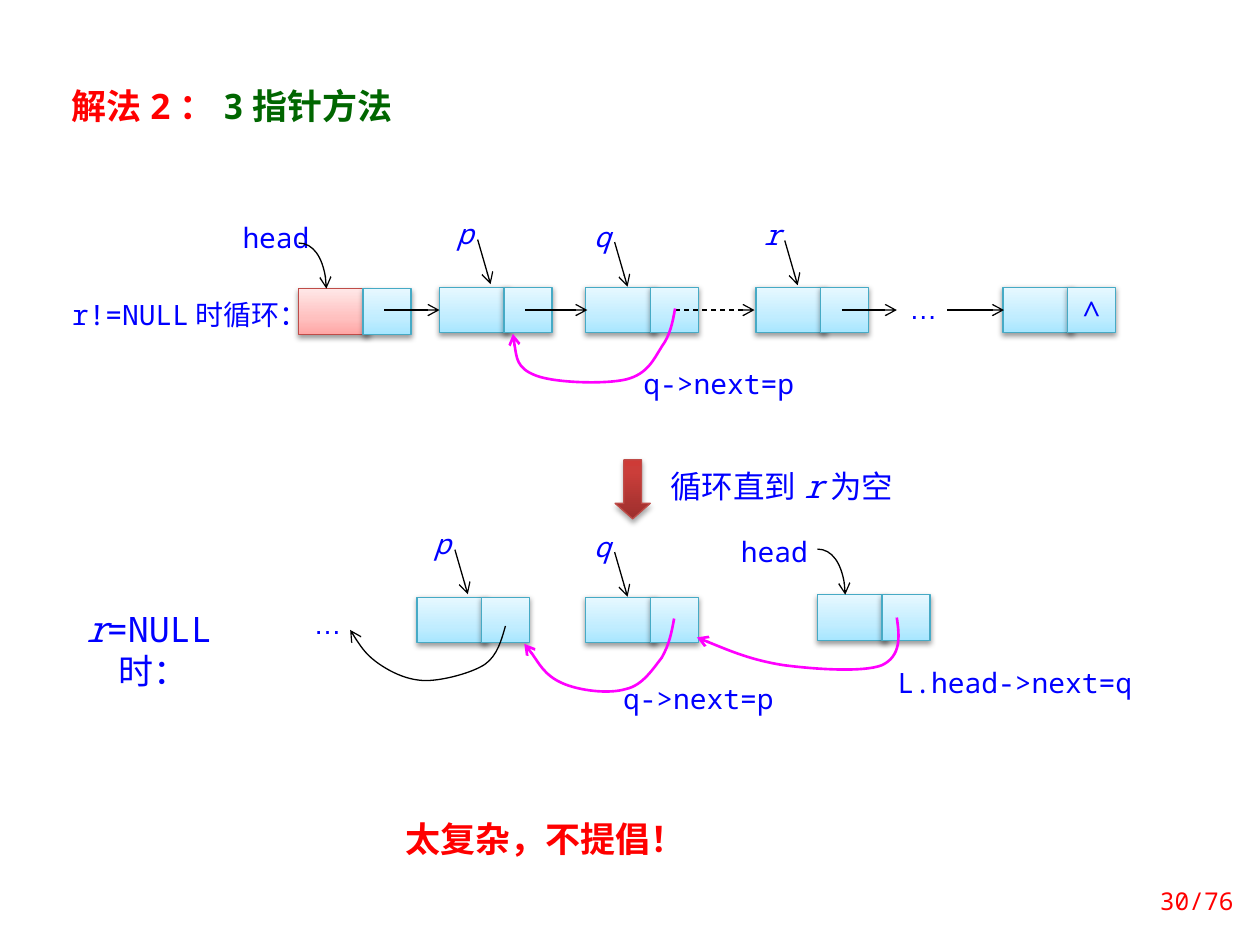
from dataclasses import dataclass
from typing import Optional

from lxml.etree import SubElement
from pptx import Presentation
from pptx.dml.color import RGBColor
from pptx.enum.dml import MSO_LINE
from pptx.enum.shapes import MSO_CONNECTOR, MSO_SHAPE
from pptx.enum.text import MSO_ANCHOR, MSO_AUTO_SIZE, PP_ALIGN
from pptx.oxml import parse_xml
from pptx.oxml.ns import nsdecls, qn
from pptx.util import Cm, Pt

BLUE = RGBColor(0x00, 0x00, 0xFF)
RED = RGBColor(0xFF, 0x00, 0x00)
GREEN = RGBColor(0x00, 0x66, 0x00)
BLACK = RGBColor(0x00, 0x00, 0x00)
WHITE = RGBColor(0xFF, 0xFF, 0xFF)
MAGENTA = RGBColor(0xFF, 0x00, 0xFF)
TEAL = RGBColor(0x46, 0xAA, 0xC5)
BRICK = RGBColor(0xBF, 0x4C, 0x48)
BLUE_STOPS = [(0, RGBColor(0xA7, 0xE6, 0xFF)), (35, RGBColor(0xC1, 0xED, 0xFF)), (100, RGBColor(0xE7, 0xF8, 0xFF))]
PINK_STOPS = [(0, RGBColor(0xFF, 0xA6, 0xA5)), (35, RGBColor(0xFF, 0xC0, 0xBF)), (100, RGBColor(0xFF, 0xE7, 0xE7))]
RED_STOPS = [(0, RGBColor(0x9C, 0x2F, 0x2D)), (80, RGBColor(0xCB, 0x3E, 0x3A)), (100, RGBColor(0xCE, 0x3B, 0x37))]
MONO, SANS, ARIAL = "Noto Sans Mono", "Noto Sans CJK SC", "Arial"
NO_MARGINS = (0, 0, 0, 0)
BOX_MARGINS = (0.25, 0.13, 0.25, 0.13)


@dataclass
class Run:
    text: str
    size: float = 16
    color: RGBColor = BLUE
    font: str = MONO
    bold: bool = False
    italic: bool = False


@dataclass
class Label:
    left: float
    top: float
    width: float
    runs: list[Run]
    has_pointer: bool = False


@dataclass
class Node:
    left: float
    top: float
    is_head: bool = False
    text: str = ""


@dataclass
class Curve:
    points: list[tuple[float, float]]
    color: RGBColor = BLACK
    width: float = 0.75


def pointer_label(name: str, left: float, top: float) -> Label:
    return Label(left, top, 0.91, [Run(name, italic=True)], True)


LABELS = [
    Label(12.93, 7.39, 3.12, [Run("q->next=p")]),
    Label(17.5, 13.41, 5.92, [Run("L.head->next=q")]),
    Label(12.52, 13.74, 3.12, [Run("q->next=p")]),
    Label(4.78, 4.45, 1.57, [Run("head")]),
    Label(14.76, 10.77, 1.7, [Run("head")]),
    Label(18.03, 5.87, 1.17, [Run("…", font=ARIAL)]),
    Label(6.02, 12.22, 1.17, [Run("…", font=ARIAL)]),
    Label(1.4, 5.99, 4.29, [Run("r!=NULL时循环：")]),
    Label(1.4, 12.24, 3.38, [Run("r", 20, italic=True), Run("=NULL时：", 20)]),
    Label(13.26, 9.42, 5, [Run("循环直到", 18), Run("r", 18, italic=True), Run("为空", 18)]),
    pointer_label("p", 8.92, 4.37),
    pointer_label("q", 11.68, 4.42),
    pointer_label("r", 15.11, 4.39),
    pointer_label("p", 8.46, 10.62),
    pointer_label("q", 11.68, 10.67),
]
NODES = [Node(6.02, 5.82, True), Node(8.86, 5.79), Node(11.81, 5.79), Node(15.24, 5.79),
         Node(20.22, 5.79, text="∧"), Node(8.41, 12.04), Node(11.81, 12.04), Node(16.48, 11.99)]
LINKS = [(7.75, 8.86, False), (10.59, 11.84, False), (13.61, 15.21, True),
         (16.97, 18.08, False), (19.1, 20.24, False)]
HEAD_STARTS = [(6.02, 4.9), (16.48, 11.07)]
HEAD_ARC = [(0, 0), (0.3, 0), (0.56, 0.41), (0.56, 0.92)]
CURVES = [
    Curve([(13.61, 6.22), (13.56, 6.5), (13.51, 6.76), (13.34, 6.99), (13.18, 7.24), (13.06, 7.54), (12.62, 7.65),
           (12.19, 7.75), (11.18, 7.72), (10.8, 7.57), (10.41, 7.42), (10.39, 7.06), (10.34, 6.73)], MAGENTA, 1.5),
    Curve([(13.59, 12.47), (13.54, 12.75), (13.49, 13), (13.34, 13.26), (13.16, 13.49), (12.95, 13.82), (12.62, 13.89),
           (12.27, 14), (11.66, 13.92), (11.33, 13.77), (10.97, 13.61), (10.72, 13.13), (10.57, 12.98)], MAGENTA, 1.5),
    Curve([(18.08, 12.45), (18.14, 12.85), (18.16, 13.23), (17.78, 13.41), (17.4, 13.56), (16.41, 13.49),
           (15.8, 13.41), (15.16, 13.31), (14.61, 13.08), (14.05, 12.85)], MAGENTA, 1.5),
    Curve([(10.19, 12.62), (10.11, 12.9), (10.03, 13.21), (9.78, 13.39), (9.53, 13.56), (8.94, 13.72), (8.59, 13.72),
           (8.23, 13.72), (7.9, 13.56), (7.65, 13.39), (7.39, 13.21), (7.21, 12.95), (7.06, 12.7)]),
] + [Curve([(left + x, top + y) for x, y in HEAD_ARC]) for left, top in HEAD_STARTS]


def write_text(shape, runs: list[Run], alignment=PP_ALIGN.CENTER, anchor=MSO_ANCHOR.TOP,
               margins: tuple = NO_MARGINS, line_spacing: Optional[Pt] = None) -> None:
    frame = shape.text_frame
    frame_format = {"word_wrap": True, "auto_size": MSO_AUTO_SIZE.NONE, "vertical_anchor": anchor}
    sides = ("margin_left", "margin_top", "margin_right", "margin_bottom")
    frame_format.update({side: Cm(margin) for side, margin in zip(sides, margins)})
    for name, value in frame_format.items():
        setattr(frame, name, value)
    paragraph = frame.paragraphs[0]
    paragraph.alignment = alignment
    paragraph.line_spacing = line_spacing
    for item in runs:
        run = paragraph.add_run()
        run.text = item.text
        font_format = {"name": item.font, "size": Pt(item.size), "bold": item.bold, "italic": item.italic}
        for name, value in font_format.items():
            setattr(run.font, name, value)
        run.font.color.rgb = item.color
        run.font._element.find(qn("a:latin")).addnext(
            parse_xml(f'<a:ea {nsdecls("a")} typeface="{SANS}"/>'))


def add_text(slide, left: float, top: float, width: float, height: float, runs: list[Run], **options):
    shape = slide.shapes.add_textbox(Cm(left), Cm(top), Cm(width), Cm(height))
    write_text(shape, runs, **options)
    return shape


def add_glossy(slide, kind, left: float, top: float, width: float, height: float,
               stops: list, outline: RGBColor, opacity: int = 38, distance: float = 1.6):
    shape = slide.shapes.add_shape(kind, Cm(left), Cm(top), Cm(width), Cm(height))
    shape.fill.gradient()
    shape.line.color.rgb = outline
    shape.line.width = Pt(0.75)
    shape.shadow.inherit = False
    properties = shape._element.spPr
    stop_xml = "".join(f'<a:gs pos="{position * 1000}"><a:srgbClr val="{color}"/></a:gs>' for position, color in stops)
    properties.replace(properties.find(qn("a:gradFill")), parse_xml(
        f'<a:gradFill {nsdecls("a")} rotWithShape="1"><a:gsLst>{stop_xml}</a:gsLst>'
        '<a:lin ang="16200000" scaled="0"/></a:gradFill>'))
    properties.find(qn("a:effectLst")).append(parse_xml(
        f'<a:outerShdw {nsdecls("a")} blurRad="{Pt(3.1)}" dist="{Pt(distance)}" dir="5400000" rotWithShape="0">'
        f'<a:srgbClr val="000000"><a:alpha val="{opacity * 1000}"/></a:srgbClr></a:outerShdw>'))
    return shape


def add_node(slide, node: Node) -> None:
    stops, outline = (PINK_STOPS, BRICK) if node.is_head else (BLUE_STOPS, TEAL)
    add_glossy(slide, MSO_SHAPE.RECTANGLE, node.left, node.top, 1.42, 0.92, stops, outline)
    link_cell = add_glossy(slide, MSO_SHAPE.RECTANGLE, node.left + 1.3, node.top, 0.97, 0.92, BLUE_STOPS, TEAL)
    if node.text:
        write_text(link_cell, [Run(node.text)], margins=(0, 0.08, 0, 0))


def style_arrow(shape, color: RGBColor = BLACK, width: float = 0.75, dashed: bool = False) -> None:
    shape.line.color.rgb = color
    shape.line.width = Pt(width)
    if dashed:
        shape.line.dash_style = MSO_LINE.DASH
    SubElement(shape.line._get_or_add_ln(), qn("a:tailEnd"), type="arrow")


def add_arrow(slide, start: tuple[float, float], end: tuple[float, float], dashed: bool = False) -> None:
    connector = slide.shapes.add_connector(MSO_CONNECTOR.STRAIGHT, *map(Cm, start + end))
    style_arrow(connector, dashed=dashed)
    SubElement(connector._element.spPr, qn("a:effectLst"))


def add_curve(slide, curve: Curve) -> None:
    start, *rest = [(Cm(x), Cm(y)) for x, y in curve.points]
    builder = slide.shapes.build_freeform(*start)
    builder.add_line_segments(rest, close=False)
    shape = builder.convert_to_shape()
    shape.fill.background()
    shape.shadow.inherit = False
    segments = list(shape._element.iter(qn("a:lnTo")))
    outline = segments[0].getparent()
    for index in range(0, len(segments), 3):
        bezier = SubElement(outline, qn("a:cubicBezTo"))
        for segment in segments[index:index + 3]:
            bezier.append(segment[0])
            outline.remove(segment)
    style_arrow(shape, curve.color, curve.width)


def main() -> None:
    presentation = Presentation()
    presentation.slide_width, presentation.slide_height = Cm(25.4), Cm(19.05)
    slide = presentation.slides.add_slide(presentation.slide_layouts[5])
    title = slide.shapes.title
    title_format = {"left": Cm(1.19), "top": Cm(1.57), "width": Cm(8.13), "height": Cm(1.12)}
    for name, value in title_format.items():
        setattr(title, name, value)
    write_text(title, [Run("解法2：", 20, RED, bold=True), Run("3指针方法", 20, GREEN, bold=True)],
               PP_ALIGN.LEFT, margins=BOX_MARGINS)
    for label in LABELS:
        box = add_text(slide, label.left, label.top, label.width, 0.74, label.runs)
        box.fill.solid()
        box.fill.fore_color.rgb = WHITE
    for node in NODES:
        add_node(slide, node)
    for start, end, dashed in LINKS:
        add_arrow(slide, (start, 6.25), (end, 6.25), dashed)
    for label in filter(lambda item: item.has_pointer, LABELS):
        left, top = label.left + 0.71, label.top + 0.46
        add_arrow(slide, (left, top), (left + 0.26, top + 0.9))
    for curve in CURVES:
        add_curve(slide, curve)
    down_arrow = add_glossy(slide, MSO_SHAPE.DOWN_ARROW, 12.4, 9.27, 0.71, 1.19, RED_STOPS, BRICK, 35, 1.8)
    down_arrow.adjustments[0], down_arrow.adjustments[1] = 0.5, 0.44
    add_text(slide, 7.92, 16.28, 6.55, 1.19, [Run("太复杂，不提倡！", 20, RED, SANS, True)],
             alignment=PP_ALIGN.LEFT, margins=BOX_MARGINS, line_spacing=Pt(26))
    add_text(slide, 22.81, 17.65, 2.31, 1.02, [Run("30/76", 14, RED)],
             alignment=PP_ALIGN.RIGHT, anchor=MSO_ANCHOR.MIDDLE, margins=BOX_MARGINS)
    presentation.save("out.pptx")


if __name__ == "__main__":
    main()
